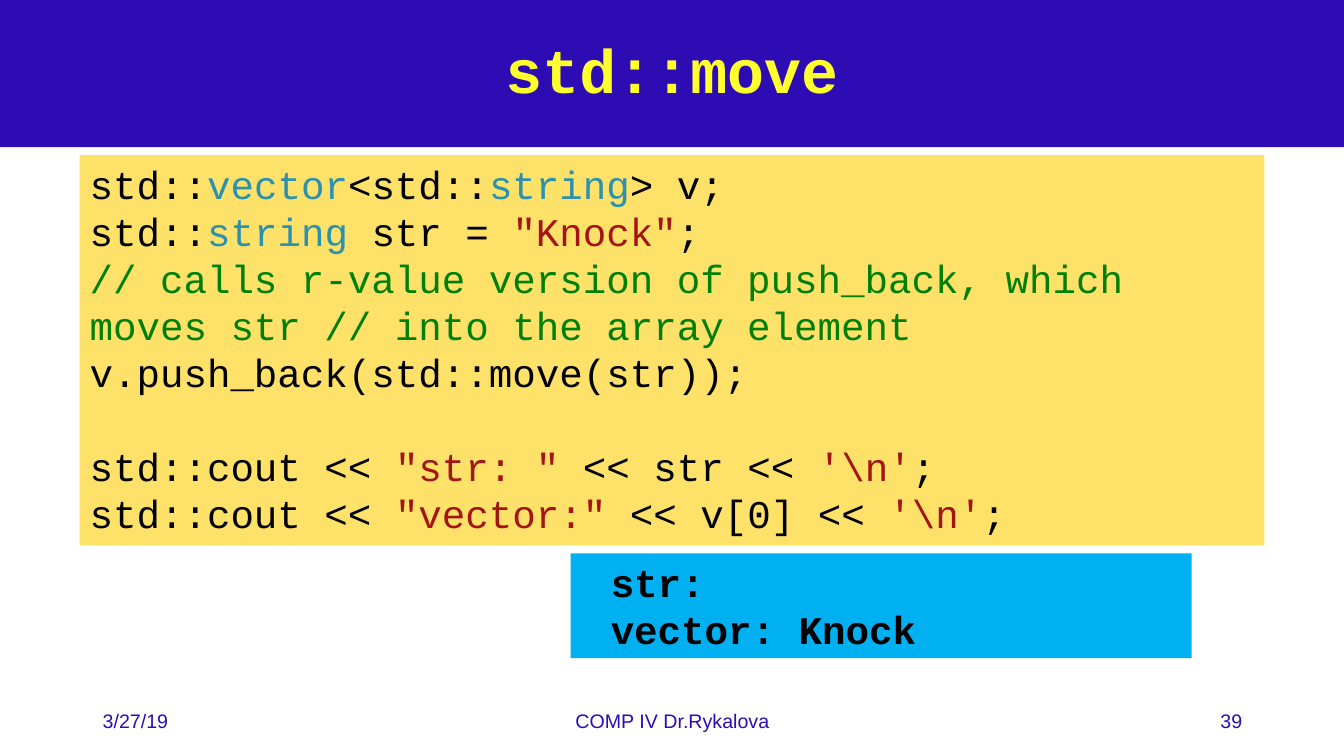
from pptx import Presentation
from pptx.dml.color import RGBColor
from pptx.enum.shapes import MSO_SHAPE as Shape
from pptx.enum.text import MSO_ANCHOR as Anchor, MSO_AUTO_SIZE as AutoSize, PP_ALIGN as Align
from pptx.util import Inches, Pt

COLOURS = {
    "indigo": "2D0DB3", "yellow": "FFFF2D", "sand": "FDE169", "sky": "00B0F0",
    "plain": "000000", "type": "2B91AF", "text": "A31515", "comment": "008000",
}
CODE_FONT = "Courier New"
CODE_SIZE = 28
CODE_LINE = 33.6

CODE = [
    [("std::", "plain"), ("vector", "type"), ("<std::", "plain"),
     ("string", "type"), ("> v;", "plain")],
    [("std::", "plain"), ("string ", "type"), ("str = ", "plain"),
     ('"Knock"', "text"), (";", "plain")],
    [("// calls r-value version of push_back, which moves str "
      "// into the array element", "comment")],
    [("v.push_back(std::move(str));", "plain")],
    [],
    [("std::cout << ", "plain"), ('"str: "', "text"), (" << str << ", "plain"),
     (r"'\n'", "text"), (";", "plain")],
    [("std::cout << ", "plain"), ('"vector:"', "text"), (" << v[0] << ", "plain"),
     (r"'\n'", "text"), (";", "plain")],
]
OUTPUT = [[("str:", "plain")], [("vector: Knock", "plain")]]


def colour(name):
    """Return the named colour."""
    return RGBColor.from_string(COLOURS[name])


def style(span, font, size, ink, bold=False):
    """Format one run."""
    span.font.name = font
    span.font.size = Pt(size)
    span.font.bold = bold
    span.font.color.rgb = colour(ink)


def add_title(page, text, left, top, width, height):
    """Turn the title placeholder into a filled banner."""
    title = page.shapes.title
    title.left, title.top = Inches(left), Inches(top)
    title.width, title.height = Inches(width), Inches(height)
    title.fill.solid()
    title.fill.fore_color.rgb = colour("indigo")
    frame = title.text_frame
    frame.text = text
    frame.auto_size = AutoSize.NONE
    frame.vertical_anchor = Anchor.MIDDLE
    para = frame.paragraphs[0]
    para.alignment = Align.CENTER
    para.line_spacing = 0.9
    style(para.runs[0], CODE_FONT, 44, "yellow", True)


def add_code_panel(page, lines, fill, left, top, width, height, indent=0, bold=False):
    """Add a filled panel of coloured code; an empty line becomes a gap."""
    panel = page.shapes.add_shape(
        Shape.RECTANGLE, Inches(left), Inches(top), Inches(width), Inches(height))
    panel.shadow.inherit = False
    panel.fill.solid()
    panel.fill.fore_color.rgb = colour(fill)
    panel.line.fill.background()
    frame = panel.text_frame
    frame.word_wrap = True
    frame.vertical_anchor = Anchor.TOP
    gap = 0
    for number, line in enumerate(lines):
        if not line:
            gap += CODE_LINE
            continue
        para = frame.add_paragraph() if number else frame.paragraphs[0]
        para.alignment = Align.LEFT
        if indent:
            para._p.get_or_add_pPr().set("marL", str(Inches(indent)))
        if gap:
            para.space_before = Pt(gap)
            gap = 0
        for text, ink in line:
            span = para.add_run()
            span.text = text
            style(span, CODE_FONT, CODE_SIZE, ink, bold)


def add_footer(page, left, top, width, height):
    """Add date, course and page number along the footer band."""
    side, middle = 3, 4.5
    parts = [
        ("3/27/19", 0, side, Align.LEFT),
        ("COMP IV Dr.Rykalova", (width - middle) / 2, middle, Align.CENTER),
        ("39", width - side, side, Align.RIGHT),
    ]
    for text, offset, part_width, alignment in parts:
        box = page.shapes.add_textbox(
            Inches(left + offset), Inches(top), Inches(part_width), Inches(height))
        frame = box.text_frame
        frame.word_wrap = True
        frame.vertical_anchor = Anchor.MIDDLE
        frame.text = text
        para = frame.paragraphs[0]
        para.alignment = alignment
        style(para.runs[0], "Arial", 14, "indigo")


def main():
    """Build and save the deck."""
    deck = Presentation()
    deck.slide_width, deck.slide_height = Inches(13.33), Inches(7.5)
    page = deck.slides.add_slide(deck.slide_layouts[5])
    add_title(page, "std::move", 0, 0, 13.33, 1.46)
    add_footer(page, 0.92, 6.95, 11.5, 0.4)
    add_code_panel(page, CODE, "sand", 0.79, 1.54, 11.75, 3.87)
    add_code_panel(page, OUTPUT, "sky", 5.66, 5.49, 6.16, 1.04, indent=0.3, bold=True)
    deck.save("out.pptx")


if __name__ == "__main__":
    main()
